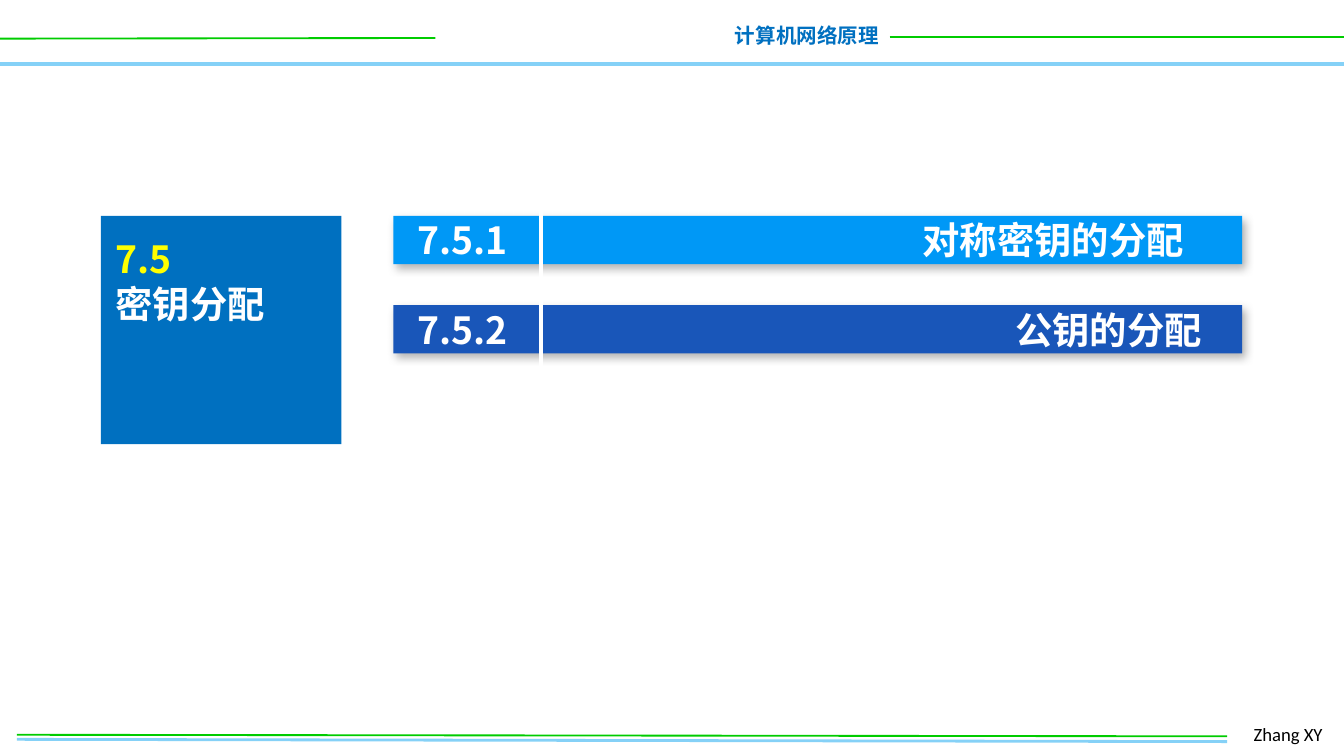
import dataclasses
import pptx
import pptx.dml.color
import pptx.enum.shapes
import pptx.enum.text
import pptx.oxml.ns
import pptx.util
from lxml import etree

WIDE = 10
HIGH = WIDE * 9 / 16
SANS, LATIN = "Noto Sans CJK SC", "Calibri"
INK = {
    "sky": "85D1F7",
    "green": "00CC00",
    "blue": "0070C0",
    "azure": "0098F6",
    "navy": "1956B9",
    "yellow": "FFFF00",
    "white": "FFFFFF",
    "black": "000000",
}


@dataclasses.dataclass
class Box:
    left: float
    top: float
    width: float
    height: float


@dataclasses.dataclass
class Rule:
    start: tuple[float, float]
    end: tuple[float, float]
    ink: str
    weight: float


@dataclasses.dataclass
class Line:
    text: str
    ink: str
    size: float = 20
    font: str = SANS
    bold: bool = True
    pitch: float = 0
    before: float = 0
    tab: float = 0


@dataclasses.dataclass
class Topic:
    label: str
    title: str
    ink: str
    tab: float


def across(share: float) -> int:
    return pptx.util.Inches(WIDE * share / 100)


def down(share: float) -> int:
    return pptx.util.Inches(HIGH * share / 100)


def place(box: Box) -> tuple[int, int, int, int]:
    return across(box.left), down(box.top), across(box.width), down(box.height)


def color(name: str) -> pptx.dml.color.RGBColor:
    return pptx.dml.color.RGBColor.from_string(INK[name])


def add(parent, tag: str, **attrs):
    return etree.SubElement(parent, pptx.oxml.ns.qn(tag), attrs)


def draw_rule(slide, rule: Rule) -> None:
    line = slide.shapes.add_connector(
        pptx.enum.shapes.MSO_CONNECTOR.STRAIGHT,
        across(rule.start[0]), down(rule.start[1]),
        across(rule.end[0]), down(rule.end[1]),
    )
    line.line.color.rgb = color(rule.ink)
    line.line.width = pptx.util.Pt(rule.weight)
    add(line._element.spPr, "a:effectLst")


def draw_block(slide, box: Box, ink: str, shade: bool = False) -> None:
    block = slide.shapes.add_shape(
        pptx.enum.shapes.MSO_SHAPE.RECTANGLE, *place(box)
    )
    block.fill.solid()
    block.fill.fore_color.rgb = color(ink)
    block.line.fill.background()
    block.shadow.inherit = False
    if shade:
        glow = block._element.spPr.find(pptx.oxml.ns.qn("a:effectLst"))
        cast = add(
            glow, "a:outerShdw", blurRad=str(pptx.util.Pt(4.5)),
            dist=str(pptx.util.Pt(2.6)), dir=str(53 * 60000),
            algn="tl", rotWithShape="0",
        )
        tint = add(cast, "a:srgbClr", val=INK["black"])
        add(tint, "a:alpha", val="30000")


def draw_text(slide, box: Box, lines: list[Line], wrap: bool = True,
              align=pptx.enum.text.PP_ALIGN.LEFT) -> None:
    frame = slide.shapes.add_textbox(*place(box)).text_frame
    frame.word_wrap = wrap
    frame.text = "\n".join(line.text for line in lines)
    for para, line in zip(frame.paragraphs, lines):
        para.alignment = align
        if line.pitch:
            para.line_spacing = pptx.util.Pt(line.pitch)
        if line.before:
            para.space_before = pptx.util.Pt(line.before)
        if line.tab:
            tabs = add(para._p.get_or_add_pPr(), "a:tabLst")
            add(tabs, "a:tab", pos=str(across(line.tab)), algn="l")
        for run in para.runs:
            run.font.size = pptx.util.Pt(line.size)
            run.font.bold = line.bold
            run.font.name = line.font
            run.font.color.rgb = color(line.ink)
            add(run._r.get_or_add_rPr(), "a:ea", typeface=line.font)


RULES = [
    Rule((0, 8.45), (100, 8.45), "sky", 2),
    Rule((0, 5.11), (32.4, 5.03), "green", 1),
    Rule((66.2, 4.86), (100, 4.86), "green", 1),
    Rule((1.26, 97.8), (91.3, 98.1), "sky", 1.5),
    Rule((1.26, 97.2), (91.3, 97.4), "green", 1),
]
TOPICS = [
    Topic("7.5.1", "对称密钥的分配", "azure", 37.6),
    Topic("7.5.2", "公钥的分配", "navy", 44.5),
]
TOP, STEP, PITCH = 28.57, 11.8, 24


def main() -> None:
    deck = pptx.Presentation()
    deck.slide_width = pptx.util.Inches(WIDE)
    deck.slide_height = pptx.util.Inches(HIGH)
    slide = deck.slides.add_slide(deck.slide_layouts[6])

    for rule in RULES:
        draw_rule(slide, rule)
    draw_text(slide, Box(53.6, 2.13, 12.8, 5.16),
              [Line("计算机网络原理", "blue", 11)], False,
              pptx.enum.text.PP_ALIGN.RIGHT)
    draw_text(slide, Box(92.3, 94.76, 7.4, 4.8),
              [Line("Zhang XY", "black", 10, LATIN, False)])

    for row, topic in enumerate(TOPICS):
        draw_block(slide, Box(29.26, TOP + row * STEP, 63.16, 6.4),
                   topic.ink, True)
    draw_text(slide, Box(30.05, 27.91, 61.2, 19.73), [
        Line(f"{topic.label}\t{topic.title}", "white", pitch=PITCH,
             before=row * PITCH, tab=topic.tab)
        for row, topic in enumerate(TOPICS)
    ])

    draw_block(slide, Box(7.5, TOP, 17.9, 30.2), "blue")
    draw_text(slide, Box(7.6, 30.4, 17.8, 13.7), [
        Line("7.5", "yellow", pitch=PITCH),
        Line("密钥分配", "white", pitch=PITCH),
    ])
    draw_rule(slide, Rule((40.28, 26.13), (40.28, 53.69), "white", 2.25))
    deck.save("out.pptx")


if __name__ == "__main__":
    main()
